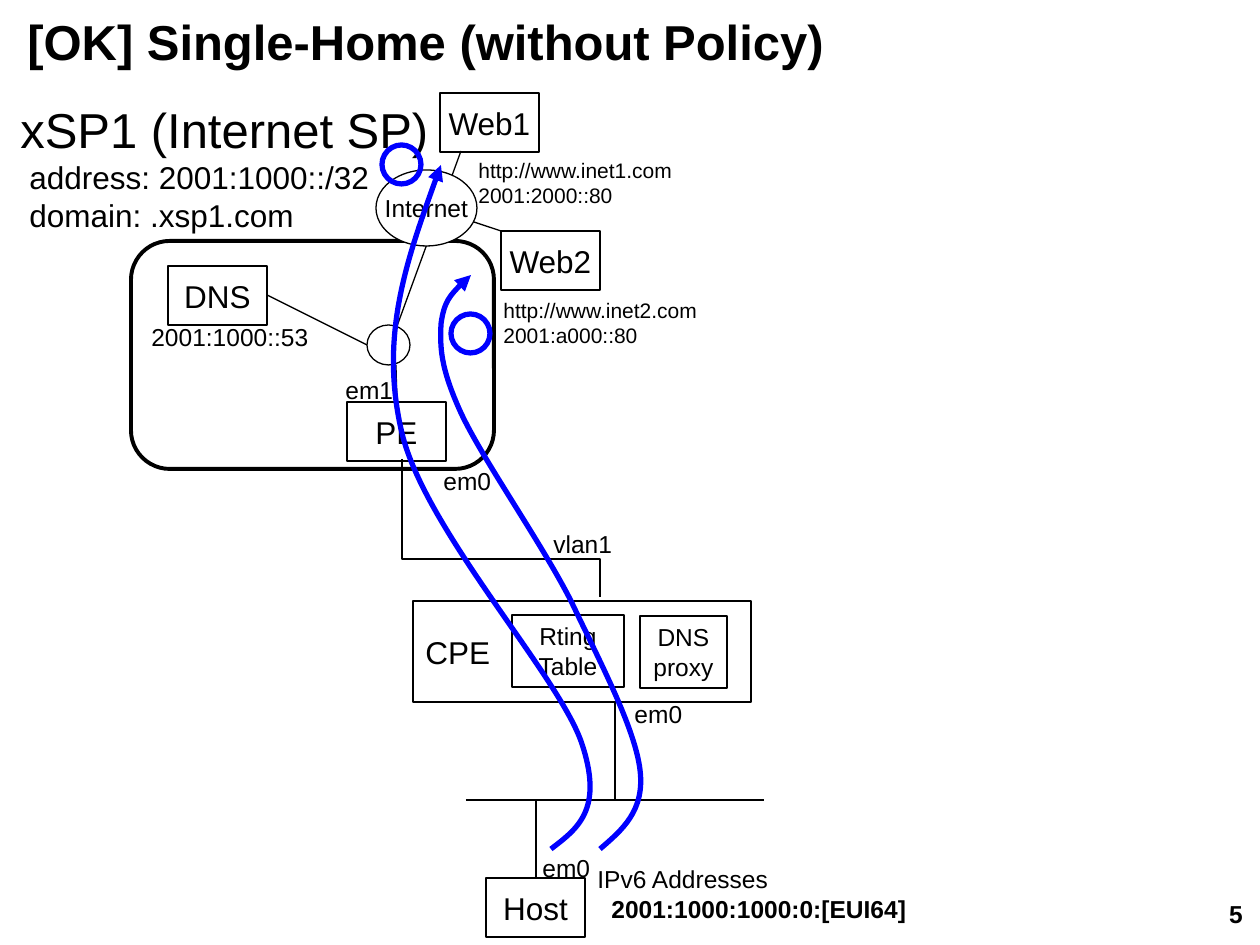
import pptx
import pptx.util
from pptx.dml.color import RGBColor
from pptx.enum.shapes import MSO_CONNECTOR, MSO_SHAPE
from pptx.enum.text import MSO_ANCHOR, MSO_AUTO_SIZE, PP_ALIGN
from pptx.oxml.ns import qn
from lxml import etree

PX = 914400 / 126
THEME = {
    "font": "Arial",
    "black": RGBColor(0, 0, 0), "blue": RGBColor(0, 0, 255), "white": RGBColor(255, 255, 255),
    "thin": 0.75, "frame": 2.25, "route": 3,
    "title": 28, "node": 18, "label": 14, "url": 12,
}

# Content: lengths in px
NODE_SIZE = (99, 59)
NODES = [("PE", 347, 402), ("Host", 486, 878), ("Web1", 440, 93), ("DNS", 168, 266), ("Web2", 501, 231)]
CPE = (413, 601, 338, 101)
CPE_PARTS = [(["DNS", "proxy"], (640, 616, 87, 72)), (["Rting", "Table"], (512, 615, 112, 72))]
PROVIDER_FRAME = (131, 241, 363, 228)
ROUTER = (367, 325, 43, 40)
INTERNET = (376, 170, 101, 76)
LINKS = [
    (615, 702, 615, 800), (466, 800, 764, 800), (536, 800, 536, 879), (396, 365, 397, 403),
    (461, 151, 396, 329), (267, 295, 367, 345), (471, 221, 501, 231),
]
UPLINK = [(402, 459), (402, 559), (600, 559), (600, 597)]
# Each route is a start point followed by cubic triples
ROUTES = [
    [(551, 849), (577, 829), (605, 810), (581, 741), (556, 672), (425, 529), (402, 433),
     (379, 336), (410, 251), (441, 165)],
    [(600, 849), (622, 830), (645, 811), (640, 770), (635, 728), (600, 662), (571, 601),
     (541, 542), (483, 460), (461, 413), (440, 367), (440, 347), (441, 324),
     (444, 301), (457, 287), (471, 275)],
]
RINGS = [(451, 314, 39, 39), (382, 145, 39, 39)]
LABELS = [
    ("em1", (333, 369, 80, 43)), ("em0", (622, 693, 80, 43)), ("em0", (431, 460, 80, 43)),
    ("em0", (530, 847, 80, 43)), ("vlan1", (541, 523, 100, 43)), ("2001:1000::53", (139, 316, 200, 43)),
]
WEB_ADDRESSES = [
    (["http://www.inet1.com", "2001:2000::80"], (466, 151, 230, 63)),
    (["http://www.inet2.com", "2001:a000::80"], (491, 291, 230, 63)),
]
PROVIDER = (["xSP1 (Internet SP)", "address: 2001:1000::/32", "domain: .xsp1.com"], (8, 93, 445, 147))
HOST_ADDRESSES = (["IPv6 Addresses", "2001:1000:1000:0:[EUI64]"], (585, 858, 601, 72))
TITLE = ("[OK] Single-Home (without Policy)", (15, 16, 1230, 49))
PAGE_NUMBER = ("5", (961, 893, 294, 66))


def px(value):
    return pptx.util.Emu(round(value * PX))


def write(shape, lines, size, align=PP_ALIGN.LEFT, anchor=MSO_ANCHOR.TOP, wrap=False, bold=False):
    frame = shape.text_frame
    frame.text = "\n".join(lines)
    frame.word_wrap = wrap
    frame.vertical_anchor = anchor
    for paragraph in frame.paragraphs:
        paragraph.alignment = align
        font = paragraph.font
        font.name, font.size, font.bold = THEME["font"], pptx.util.Pt(size), bold
        font.color.rgb = THEME["black"]
    return frame.paragraphs


def add_text(slide, lines, box, size, grow=True, **options):
    shape = slide.shapes.add_textbox(*map(px, box))
    # Boxes are wide enough for their lines, so wrapping keeps them in place
    paragraphs = write(shape, lines, size, wrap=True, **options)
    if grow:
        shape.text_frame.auto_size = MSO_AUTO_SIZE.SHAPE_TO_FIT_TEXT
    return paragraphs


def outline(shape, colour="black", width="thin"):
    shape.shadow.inherit = False
    shape.fill.background()
    shape.line.color.rgb = THEME[colour]
    shape.line.width = pptx.util.Pt(THEME[width])


def add_outline(slide, kind, box, colour="black", width="thin"):
    shape = slide.shapes.add_shape(kind, *map(px, box))
    outline(shape, colour, width)
    return shape


def add_link(slide, ends):
    link = slide.shapes.add_connector(MSO_CONNECTOR.STRAIGHT, *map(px, ends))
    link.line.color.rgb = THEME["black"]
    link.line.width = pptx.util.Pt(THEME["thin"])
    etree.SubElement(link._element.spPr, qn("a:effectLst"))


def add_polyline(slide, points, colour="black", width="thin"):
    builder = slide.shapes.build_freeform(*points[0], scale=PX)
    builder.add_line_segments(points[1:], close=False)
    shape = builder.convert_to_shape()
    outline(shape, colour, width)
    return shape


def add_route(slide, points):
    shape = add_polyline(slide, points, "blue", "route")
    # Join every three straight steps into one cubic curve
    steps = list(shape._element.iter(qn("a:lnTo")))
    for start in range(0, len(steps), 3):
        curve = etree.Element(qn("a:cubicBezTo"))
        steps[start].addprevious(curve)
        for step in steps[start:start + 3]:
            curve.append(step[0])
            step.getparent().remove(step)
    etree.SubElement(shape.line._get_or_add_ln(), qn("a:tailEnd"), type="triangle")


def main():
    presentation = pptx.Presentation()
    presentation.slide_width, presentation.slide_height = px(1260), px(945)
    slide = presentation.slides.add_slide(presentation.slide_layouts[6])
    centred = {"align": PP_ALIGN.CENTER, "anchor": MSO_ANCHOR.MIDDLE}

    # Links
    for ends in LINKS:
        add_link(slide, ends)
    add_polyline(slide, UPLINK)

    # Network nodes
    frame = add_outline(slide, MSO_SHAPE.ROUNDED_RECTANGLE, PROVIDER_FRAME, width="frame")
    frame.adjustments[0] = 0.17
    add_outline(slide, MSO_SHAPE.OVAL, ROUTER)
    for name, left, top in NODES:
        node = add_outline(slide, MSO_SHAPE.RECTANGLE, (left, top, *NODE_SIZE))
        write(node, [name], THEME["node"], **centred)
    cpe = add_outline(slide, MSO_SHAPE.RECTANGLE, CPE)
    write(cpe, ["CPE"], THEME["node"], anchor=MSO_ANCHOR.MIDDLE)
    for lines, box in CPE_PARTS:
        part = add_outline(slide, MSO_SHAPE.RECTANGLE, box)
        write(part, lines, THEME["label"], align=PP_ALIGN.CENTER, wrap=True)
    internet = add_outline(slide, MSO_SHAPE.OVAL, INTERNET)
    internet.fill.solid()
    internet.fill.fore_color.rgb = THEME["white"]
    write(internet, ["Internet"], THEME["label"], **centred)

    # Text
    for label, box in LABELS:
        add_text(slide, [label], box, THEME["label"])
    for lines, box in WEB_ADDRESSES:
        add_text(slide, lines, box, THEME["url"])
    heading, *details = add_text(slide, *PROVIDER, THEME["node"])
    heading.font.size = pptx.util.Pt(THEME["title"])
    for detail in details:
        detail._p.get_or_add_pPr().set("marL", str(px(9)))
    address = add_text(slide, *HOST_ADDRESSES, THEME["label"])[1]
    address.font.bold = True
    address._p.get_or_add_pPr().set("marL", str(px(14)))
    add_text(slide, [TITLE[0]], TITLE[1], THEME["title"], grow=False,
             anchor=MSO_ANCHOR.MIDDLE, bold=True)
    add_text(slide, [PAGE_NUMBER[0]], PAGE_NUMBER[1], THEME["label"], grow=False,
             align=PP_ALIGN.RIGHT, bold=True)

    # Traffic routes and their marks
    for points in ROUTES:
        add_route(slide, points)
    for ring in RINGS:
        add_outline(slide, MSO_SHAPE.OVAL, ring, "blue", "route")

    presentation.save("out.pptx")


if __name__ == "__main__":
    main()
